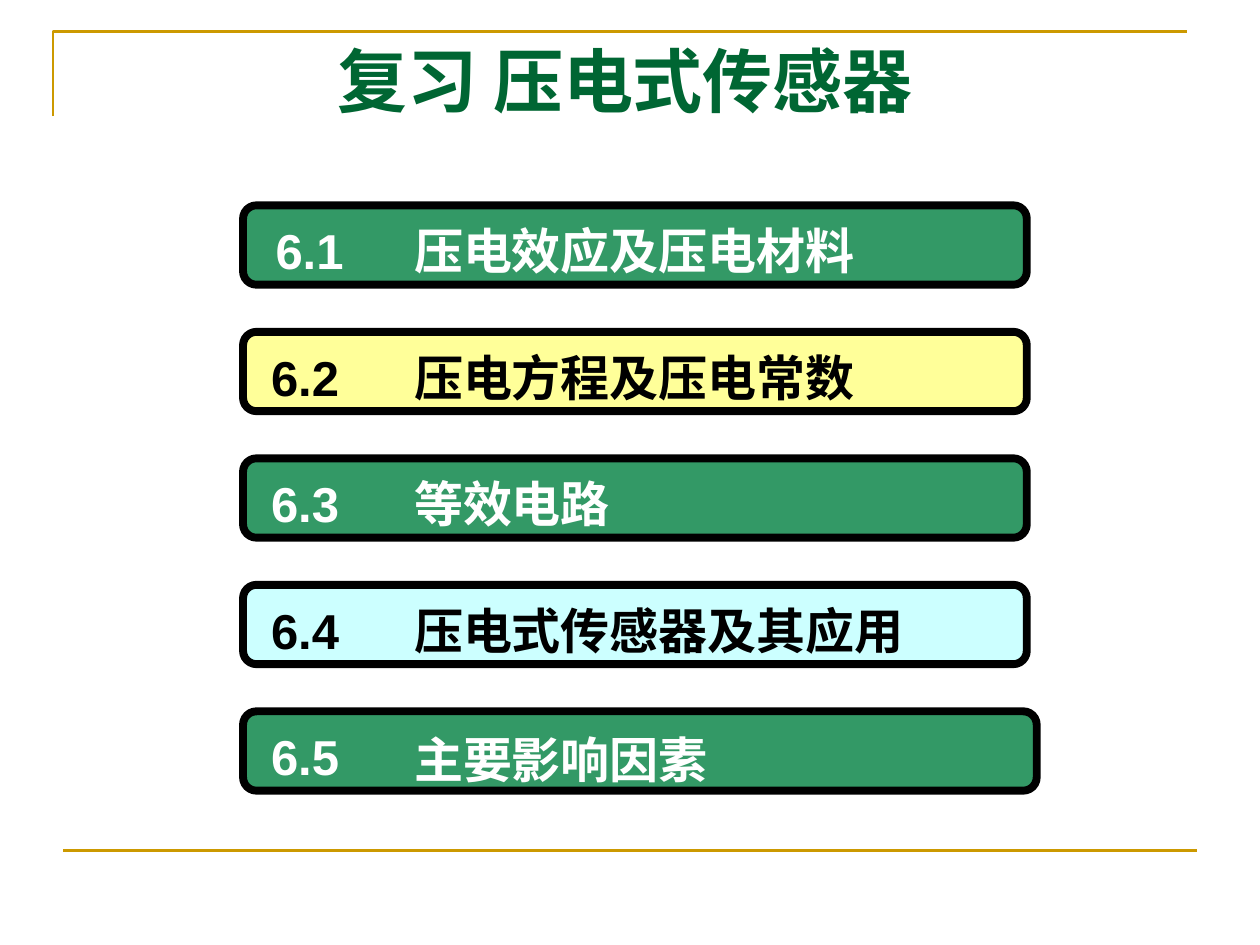
from dataclasses import dataclass

from lxml.etree import SubElement
from pptx import Presentation
from pptx.dml.color import RGBColor
from pptx.enum.shapes import MSO_CONNECTOR, MSO_SHAPE
from pptx.enum.text import MSO_ANCHOR, MSO_AUTO_SIZE, PP_ALIGN
from pptx.oxml.ns import qn
from pptx.util import Cm, Pt


@dataclass(frozen=True)
class Theme:
    gold: str = "CC9900"
    title: str = "006633"
    green: str = "339966"
    yellow: str = "FFFF99"
    cyan: str = "CCFFFF"
    black: str = "000000"
    white: str = "FFFFFF"
    title_font: str = "Noto Sans CJK SC"
    body_font: str = "Arial"
    title_size: int = 40
    body_size: int = 28
    rule_width: float = 1.5
    bar_width: float = 4.5


THEME = Theme()

# number, heading, fill, text colour, bar width, number shift, heading shift (cm)
CHAPTERS = [
    ("6.1", "压电效应及压电材料", THEME.green, THEME.white, 15.8, 0.09, 0),
    ("6.2", "压电方程及压电常数", THEME.yellow, THEME.black, 15.8, 0, 0),
    ("6.3", "等效电路", THEME.green, THEME.white, 15.8, 0, 0),
    ("6.4", "压电式传感器及其应用", THEME.cyan, THEME.black, 15.8, 0, 0),
    ("6.5", "主要影响因素", THEME.green, THEME.white, 16, 0, 0.05),
]


def write_text(box, text, *, font, size, color, align=PP_ALIGN.LEFT, top=0.13):
    frame = box.text_frame
    frame.word_wrap = True
    frame.auto_size = MSO_AUTO_SIZE.NONE
    frame.vertical_anchor = MSO_ANCHOR.TOP
    frame.margin_top = Cm(top)
    para = frame.paragraphs[0]
    para.alignment = align
    span = para.add_run()
    span.text = text
    span.font.name = font
    span.font.size = Pt(size)
    span.font.bold = True
    span.font.color.rgb = RGBColor.from_string(color)
    # East Asian characters take the same typeface
    SubElement(span.font._element, qn("a:ea"), typeface=font)


def draw_frame(page, left, top, width, height):
    # Corner bracket
    builder = page.shapes.build_freeform(Cm(left), Cm(top + 1.7))
    builder.add_line_segments(
        [(Cm(left), Cm(top)), (Cm(left + width), Cm(top))], close=False)
    bracket = builder.convert_to_shape()
    bracket.shadow.inherit = False
    bracket.fill.background()

    # Bottom rule, slightly to the right of the bracket
    start, bottom = left + 0.2, top + height
    rule = page.shapes.add_connector(
        MSO_CONNECTOR.STRAIGHT, Cm(start), Cm(bottom), Cm(start + width), Cm(bottom))
    SubElement(rule._element.spPr, qn("a:effectLst"))

    for shape in (bracket, rule):
        shape.line.color.rgb = RGBColor.from_string(THEME.gold)
        shape.line.width = Pt(THEME.rule_width)


def place_title(page, text, left, top, width, height):
    box = page.shapes.title
    box.left, box.top, box.width, box.height = map(Cm, (left, top, width, height))
    write_text(box, text, font=THEME.title_font, size=THEME.title_size,
               color=THEME.title, align=PP_ALIGN.CENTER, top=0)


def draw_chapter(page, chapter, left, top, height):
    number, heading, fill, color, width, number_shift, heading_shift = chapter
    group = page.shapes.add_group_shape()

    # Rounded bar
    bar = group.shapes.add_shape(
        MSO_SHAPE.ROUNDED_RECTANGLE, Cm(left), Cm(top), Cm(width), Cm(height))
    bar.adjustments[0] = 0.17
    bar.shadow.inherit = False
    bar.fill.solid()
    bar.fill.fore_color.rgb = RGBColor.from_string(fill)
    bar.line.color.rgb = RGBColor.from_string(THEME.black)
    bar.line.width = Pt(THEME.bar_width)

    # Heading and its number
    labels = [
        (heading, 3.2, 0.08 + heading_shift, width - 3.2, PP_ALIGN.LEFT),
        (number, 0.3 + number_shift, 0.08, 1.9, PP_ALIGN.CENTER),
    ]
    for text, dx, dy, label_width, align in labels:
        box = group.shapes.add_textbox(
            Cm(left + dx), Cm(top + dy), Cm(label_width), Cm(1.45))
        write_text(box, text, font=THEME.body_font, size=THEME.body_size,
                   color=color, align=align, top=0.23)


def draw_chapters(page, left, top, pitch):
    for index, chapter in enumerate(CHAPTERS):
        draw_chapter(page, chapter, left, top + index * pitch, 1.6)


def main():
    deck = Presentation()
    deck.slide_width, deck.slide_height = Cm(25.4), Cm(19.05)
    page = deck.slides.add_slide(deck.slide_layouts.get_by_name("Title Only"))
    draw_frame(page, 1.07, 0.64, 22.86, 16.51)
    place_title(page, "复习 压电式传感器", 4.7, 0.76, 15.8, 2.36)
    draw_chapters(page, 4.9, 4.14, 2.55)
    deck.save("out.pptx")


if __name__ == "__main__":
    main()
